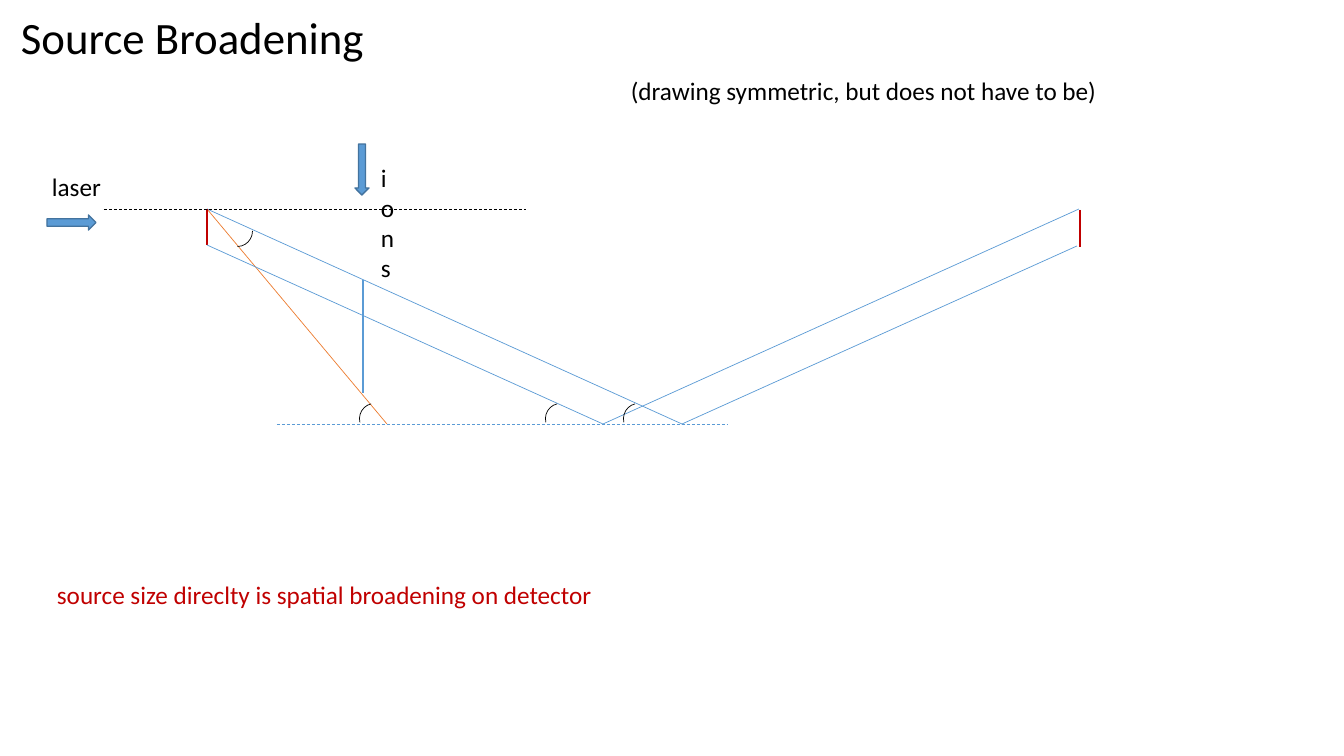
from lxml import etree
from pptx import Presentation
from pptx import util as u
from pptx.dml.color import RGBColor
from pptx.enum import dml, shapes, text
from pptx.oxml.ns import qn

SLIDE_WIDTH, SLIDE_HEIGHT = 1344, 756
SCALE = u.Inches(13.3333) / SLIDE_WIDTH
COLORS = {"black": "000000", "red": "C00000", "blue": "5B9BD5",
          "orange": "ED7D31", "edge": "43739E"}

SOURCE_TOP, SOURCE_BOTTOM = (207, 209), (207, 245)
BOUNCE_LEFT, BOUNCE_RIGHT = (603, 424), (682, 424)
LINES = [
    (SOURCE_TOP, BOUNCE_RIGHT, "blue", 0.5, False),
    (SOURCE_TOP, (387, 424), "orange", 0.5, False),
    (SOURCE_TOP, SOURCE_BOTTOM, "red", 2, False),
    ((363, 280), (363, 393), "blue", 2, False),
    ((277, 424), (728, 424), "blue", 0.5, True),
    ((104, 209), (526, 209), "black", 0.5, True),
    (SOURCE_BOTTOM, BOUNCE_LEFT, "blue", 0.5, False),
    (BOUNCE_LEFT, (1079, 209), "blue", 0.5, False),
    (BOUNCE_RIGHT, (1077, 246), "blue", 0.5, False),
    ((1080, 210), (1080, 247), "red", 2, False),
]
ANGLE_ARCS = [(222, 216, 90), (359, 404, 257.1), (623, 404, 257.1), (545, 404, 257.1)]
ARC_SIZE = (31, 30)
BEAM_ARROWS = [(355, 144, 14, 51, 0), (64, 198, 15, 49, 270)]
LABELS = [
    ("Source Broadening", (11, 5, 367, 65), {"size": 32}),
    ("(drawing symmetric, but does not have to be)", (621, 70, 492, 40), {}),
    ("laser", (42, 166, 74, 40), {"wrap": True}),
    ("ions", (371, 157, 33, 22), {"wrap": True}),
    ("source size direclty is spatial broadening on detector",
     (47, 574, 561, 40), {"color": "red"}),
]


def px(*values):
    return [u.Emu(round(value * SCALE)) for value in values]


def rgb(name):
    return RGBColor.from_string(COLORS[name])


def style_line(line, color, width):
    line.color.rgb = rgb(color)
    line.width = u.Pt(width)


def add_line(slide, start, end, color, width, dashed):
    connector = slide.shapes.add_connector(
        shapes.MSO_CONNECTOR.STRAIGHT, *px(*start, *end))
    style_line(connector.line, color, width)
    if dashed:
        connector.line.dash_style = dml.MSO_LINE.DASH
    etree.SubElement(connector._element.spPr, qn("a:effectLst"))


def add_outline(slide, kind, box, rotation, color, width, fill=None):
    shape = slide.shapes.add_shape(kind, *px(*box))
    shape.shadow.inherit = False
    shape.rotation = rotation
    style_line(shape.line, color, width)
    if fill:
        shape.fill.solid()
        shape.fill.fore_color.rgb = rgb(fill)
    else:
        shape.fill.background()


def add_label(slide, words, box, size=18, color="black", wrap=False):
    frame = slide.shapes.add_textbox(*px(*box)).text_frame
    frame.word_wrap = wrap
    frame.vertical_anchor = text.MSO_ANCHOR.TOP
    paragraph = frame.paragraphs[0]
    paragraph.text = words
    paragraph.font.name = "Calibri"
    paragraph.font.size = u.Pt(size)
    paragraph.font.color.rgb = rgb(color)


def main():
    presentation = Presentation()
    presentation.slide_width, presentation.slide_height = px(SLIDE_WIDTH, SLIDE_HEIGHT)
    slide = presentation.slides.add_slide(presentation.slide_layouts[6])
    for line in LINES:
        add_line(slide, *line)
    for left, top, rotation in ANGLE_ARCS:
        add_outline(slide, shapes.MSO_SHAPE.ARC, (left, top, *ARC_SIZE),
                    rotation, "black", 0.5)
    for *box, rotation in BEAM_ARROWS:
        add_outline(slide, shapes.MSO_SHAPE.DOWN_ARROW, box, rotation, "edge", 1, "blue")
    for words, box, style in LABELS:
        add_label(slide, words, box, **style)
    presentation.save("out.pptx")


if __name__ == "__main__":
    main()
